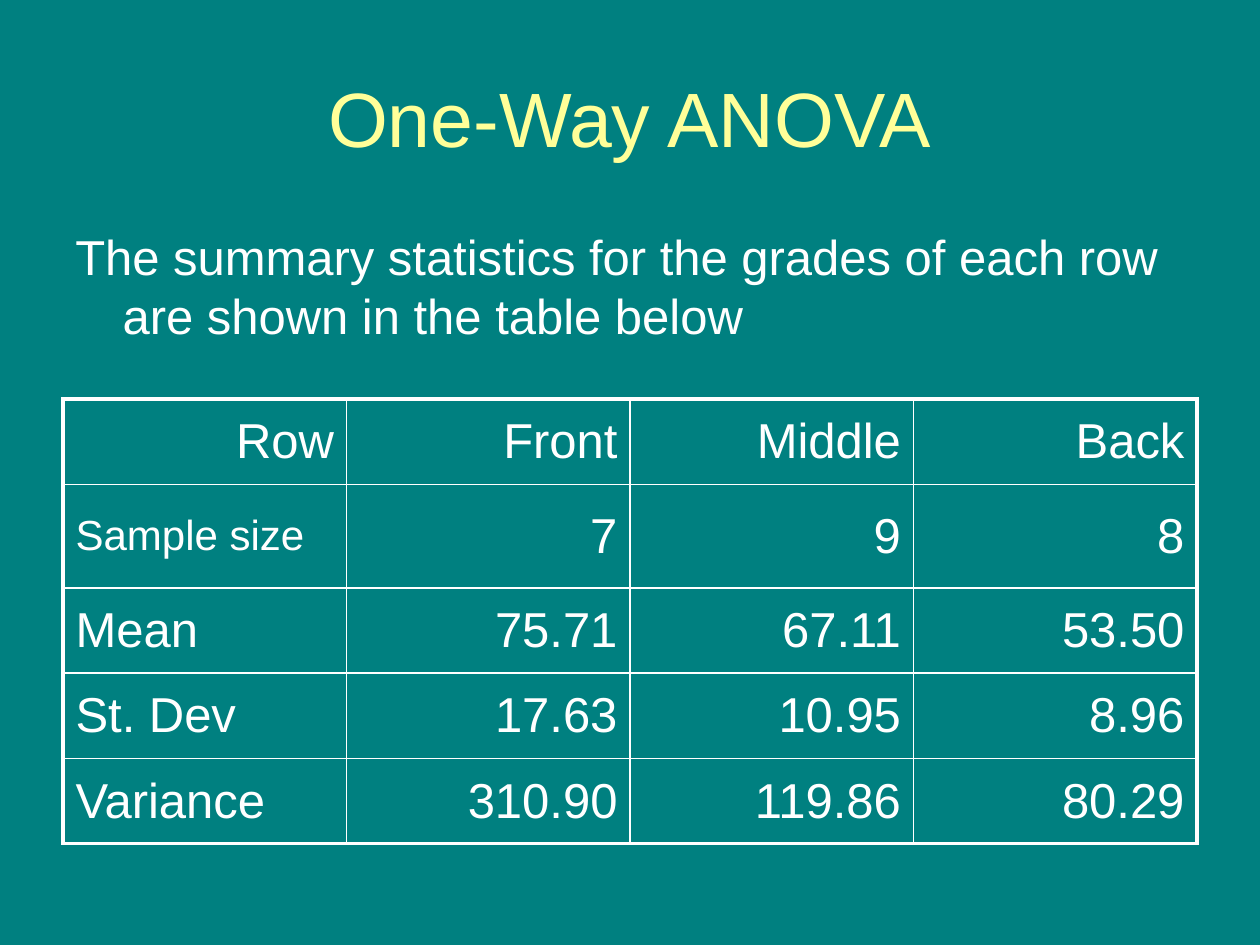
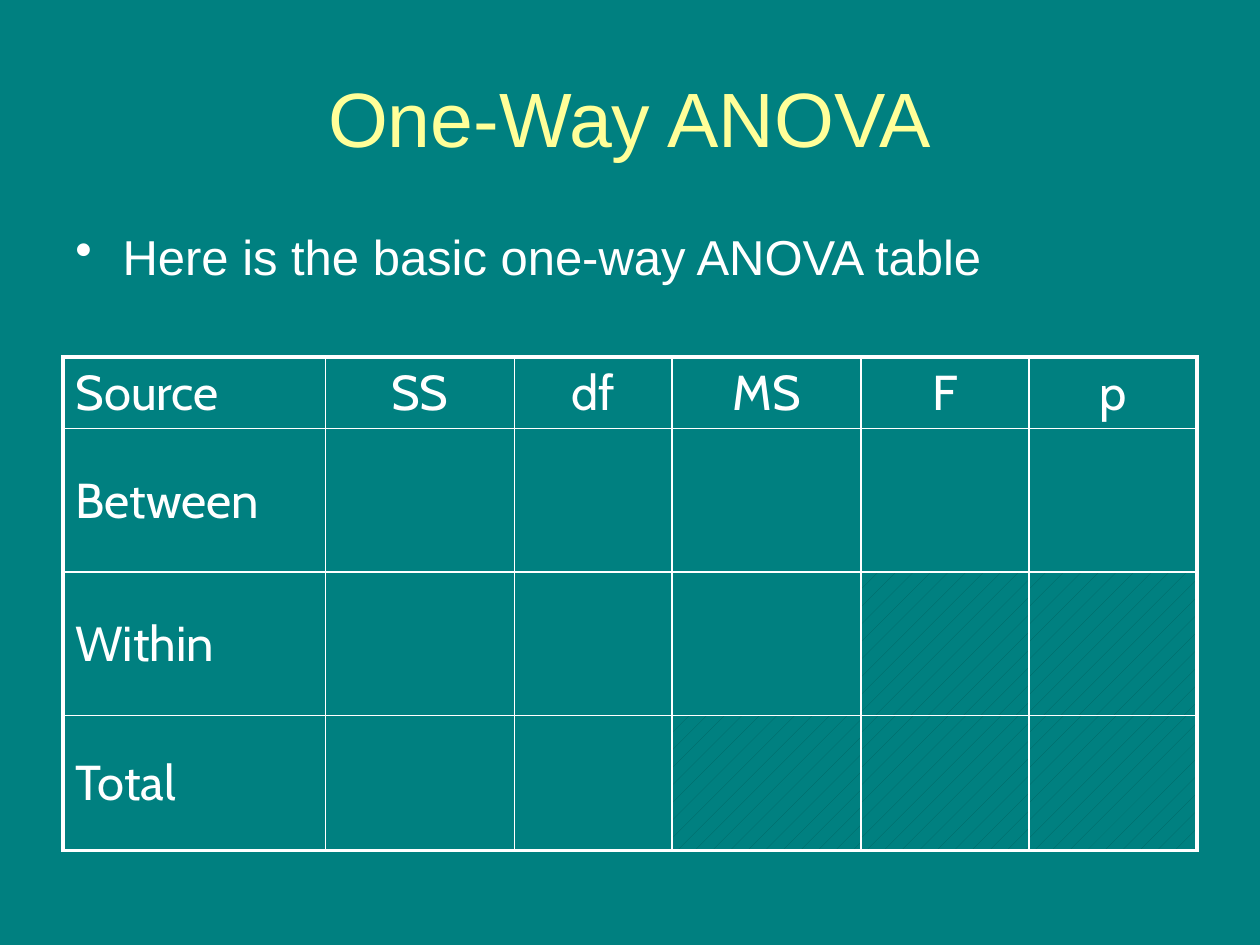
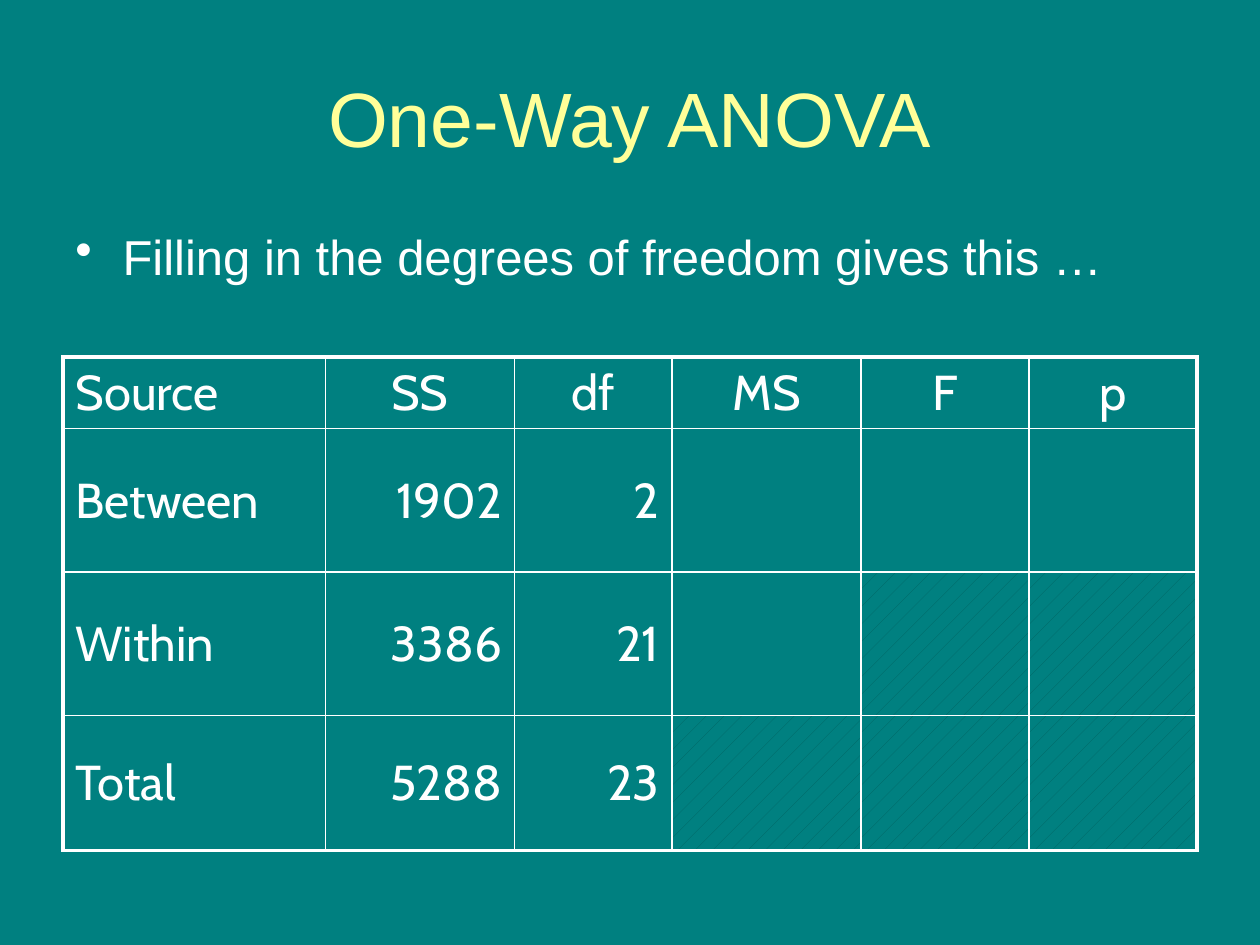
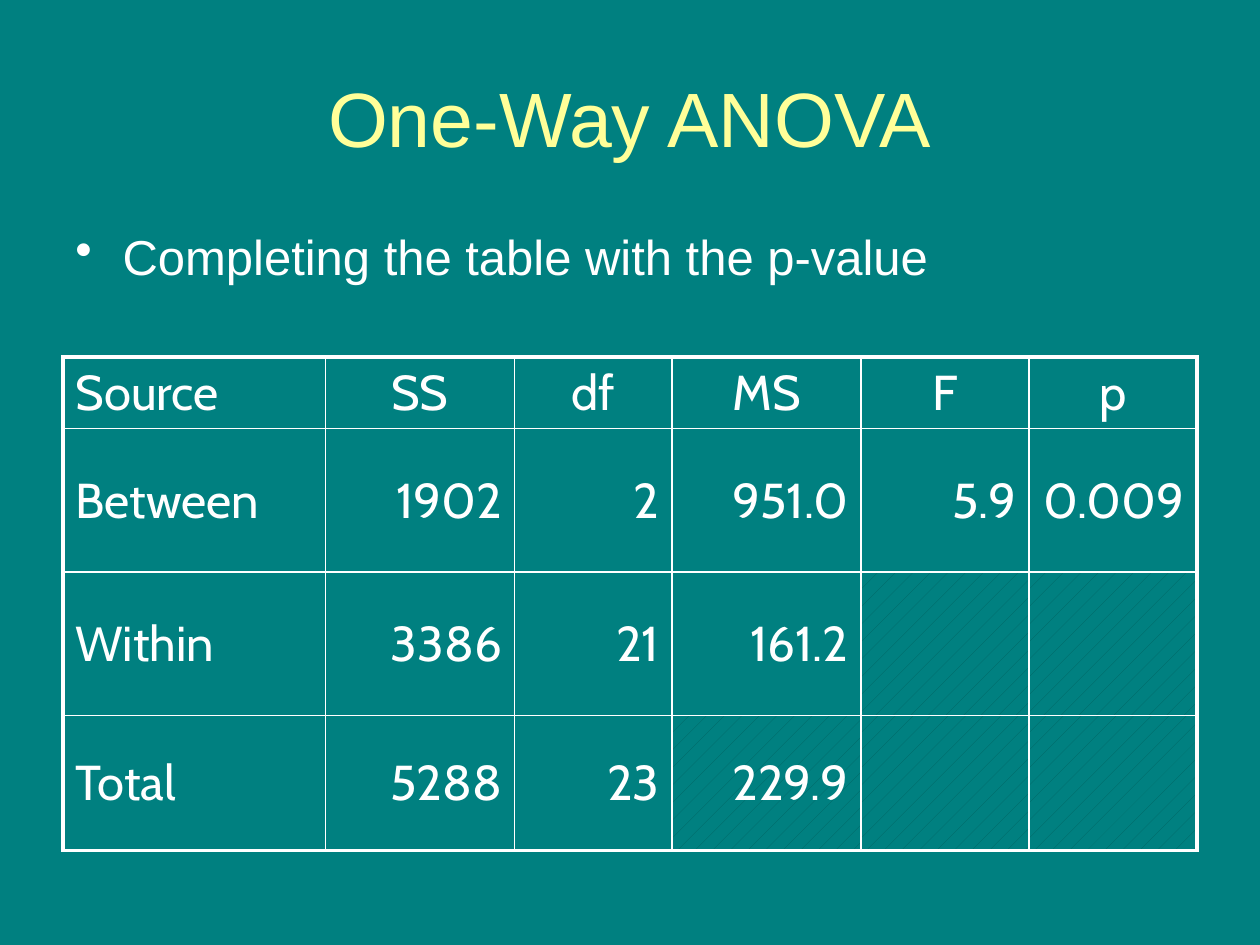
from dataclasses import dataclass
from typing import Any

from lxml.etree import SubElement
from pptx import Presentation
from pptx.dml.color import RGBColor
from pptx.enum.dml import MSO_PATTERN
from pptx.enum.text import MSO_ANCHOR, PP_ALIGN
from pptx.oxml.ns import qn
from pptx.util import Pt

# Shared colours, fonts and measures (points)
TEAL = RGBColor(0x00, 0x80, 0x80)
DARK_TEAL = RGBColor(0x00, 0x64, 0x62)
YELLOW = RGBColor(0xFF, 0xFF, 0x99)
WHITE = RGBColor(0xFF, 0xFF, 0xFF)
SANS, CABIN = "Arial", "Cabin"
LEFT, WIDTH = 36, 648
INDENT = 27
OUTER, INNER = 2.25, 1

TITLE_FONT = {"name": SANS, "size": Pt(44)}
BODY_FONT = {"name": SANS, "size": Pt(28)}
BODY_PARA = {"alignment": PP_ALIGN.LEFT, "space_before": Pt(5.6)}


@dataclass
class Grid:
    """A table's geometry and style; `hatched` holds (row, column) pairs."""
    top: float
    cols: list[float]
    rows: list[float]
    font: str
    head_align: PP_ALIGN
    first_align: PP_ALIGN
    hatched: frozenset[tuple[int, int]] = frozenset()


@dataclass
class Page:
    body: str
    body_height: float
    bullet: bool
    grid: Grid
    data: list[list[str]]


def set_all(obj: Any, values: dict[str, Any]) -> None:
    for name, value in values.items():
        setattr(obj, name, value)


def write(p: Any, text: str, para: dict, font: dict, color: RGBColor) -> None:
    set_all(p, para)
    r = p.add_run()
    r.text = text
    set_all(r.font, font)
    r.font.color.rgb = color


def add_text(slide: Any, top: float, height: float, anchor: MSO_ANCHOR) -> Any:
    tf = slide.shapes.add_textbox(Pt(LEFT), Pt(top), Pt(WIDTH), Pt(height)).text_frame
    set_all(tf, {"word_wrap": True, "vertical_anchor": anchor})
    return tf.paragraphs[0]


def add_title(slide: Any) -> None:
    p = add_text(slide, 21.6, 90, MSO_ANCHOR.MIDDLE)
    write(p, "One-Way ANOVA", {"alignment": PP_ALIGN.CENTER}, TITLE_FONT, YELLOW)


def add_body(slide: Any, page: Page) -> None:
    p = add_text(slide, 126, page.body_height, MSO_ANCHOR.TOP)
    write(p, page.body, BODY_PARA, BODY_FONT, WHITE)
    # Hanging indent, with or without a bullet
    pPr = p._p.get_or_add_pPr()
    pPr.set("marL", str(Pt(INDENT)))
    pPr.set("indent", str(-Pt(INDENT)))
    if page.bullet:
        SubElement(pPr, qn("a:buChar"), char="•")
    else:
        SubElement(pPr, qn("a:buNone"))


def set_borders(cell: Any, widths: dict[str, float]) -> None:
    tcPr = cell._tc.get_or_add_tcPr()
    for side, width in widths.items():
        ln = SubElement(tcPr, qn(f"a:ln{side}"), w=str(Pt(width)))
        SubElement(SubElement(ln, qn("a:solidFill")), qn("a:srgbClr"), val=str(WHITE))


def add_grid(slide: Any, grid: Grid, data: list[list[str]]) -> None:
    n_rows, n_cols = len(grid.rows), len(grid.cols)
    table = slide.shapes.add_table(n_rows, n_cols, Pt(LEFT), Pt(grid.top),
                                   Pt(WIDTH), Pt(sum(grid.rows))).table
    set_all(table, {"first_row": False, "horz_banding": False})
    for col, width in zip(table.columns, grid.cols):
        col.width = Pt(width)
    for row, height in zip(table.rows, grid.rows):
        row.height = Pt(height)

    for i, texts in enumerate(data):
        for j, text in enumerate(texts):
            cell = table.cell(i, j)
            cell.vertical_anchor = MSO_ANCHOR.MIDDLE
            edges = {"L": j == 0, "R": j == n_cols - 1, "T": i == 0, "B": i == n_rows - 1}
            set_borders(cell, {s: OUTER if e else INNER for s, e in edges.items()})
            if (i, j) in grid.hatched:
                cell.fill.patterned()
                cell.fill.pattern = MSO_PATTERN.PERCENT_5
                cell.fill.fore_color.rgb = DARK_TEAL
                cell.fill.back_color.rgb = TEAL
            else:
                cell.fill.background()
            if not text:
                continue
            if i == 0:
                align = grid.first_align if j == 0 else grid.head_align
            else:
                align = PP_ALIGN.LEFT if j == 0 else PP_ALIGN.RIGHT
            size = 24 if text == "Sample size" else 28
            write(cell.text_frame.paragraphs[0], text,
                  {"alignment": align, "space_before": Pt(size * 0.2)},
                  {"name": grid.font, "size": Pt(size)}, WHITE)


# Table layouts
STATS = Grid(228, [WIDTH / 4] * 4, [48.75, 59.25, 48.75, 48.75, 48.75],
             SANS, PP_ALIGN.RIGHT, PP_ALIGN.RIGHT)
ANOVA = Grid(204, [150, 108, 90, 108, 96, 96], [41, 82, 82, 77],
             CABIN, PP_ALIGN.CENTER, PP_ALIGN.LEFT,
             frozenset({(2, 4), (2, 5), (3, 3), (3, 4), (3, 5)}))


def anova_page(body: str, between: str = "", within: str = "", total: str = "") -> Page:
    """An ANOVA table page; the values of each source are split at blanks."""
    data = [["Source", "SS", "df", "MS", "F", "p"]]
    for source, values in (("Between", between), ("Within", within), ("Total", total)):
        row = [source, *values.split()]
        data.append(row + [""] * (len(data[0]) - len(row)))
    return Page(body, 54, True, ANOVA, data)


# Slide contents
PAGES = [
    Page("The summary statistics for the grades of each row are shown in the table below",
         96, False, STATS, [
             ["Row", "Front", "Middle", "Back"],
             ["Sample size", "7", "9", "8"],
             ["Mean", "75.71", "67.11", "53.50"],
             ["St. Dev", "17.63", "10.95", "8.96"],
             ["Variance", "310.90", "119.86", "80.29"],
         ]),
    anova_page("Here is the basic one-way ANOVA table"),
    anova_page("Filling in the degrees of freedom gives this …",
               "1902 2", "3386 21", "5288 23"),
    anova_page("Completing the table with the p-value",
               "1902 2 951.0 5.9 0.009", "3386 21 161.2", "5288 23 229.9"),
]

# Build the deck
prs = Presentation()
prs.slide_width, prs.slide_height = Pt(720), Pt(540)
bg = prs.slide_master.background.fill
bg.solid()
bg.fore_color.rgb = TEAL

for page in PAGES:
    slide = prs.slides.add_slide(prs.slide_layouts[6])
    add_title(slide)
    add_body(slide, page)
    add_grid(slide, page.grid, page.data)

prs.save("out.pptx")
